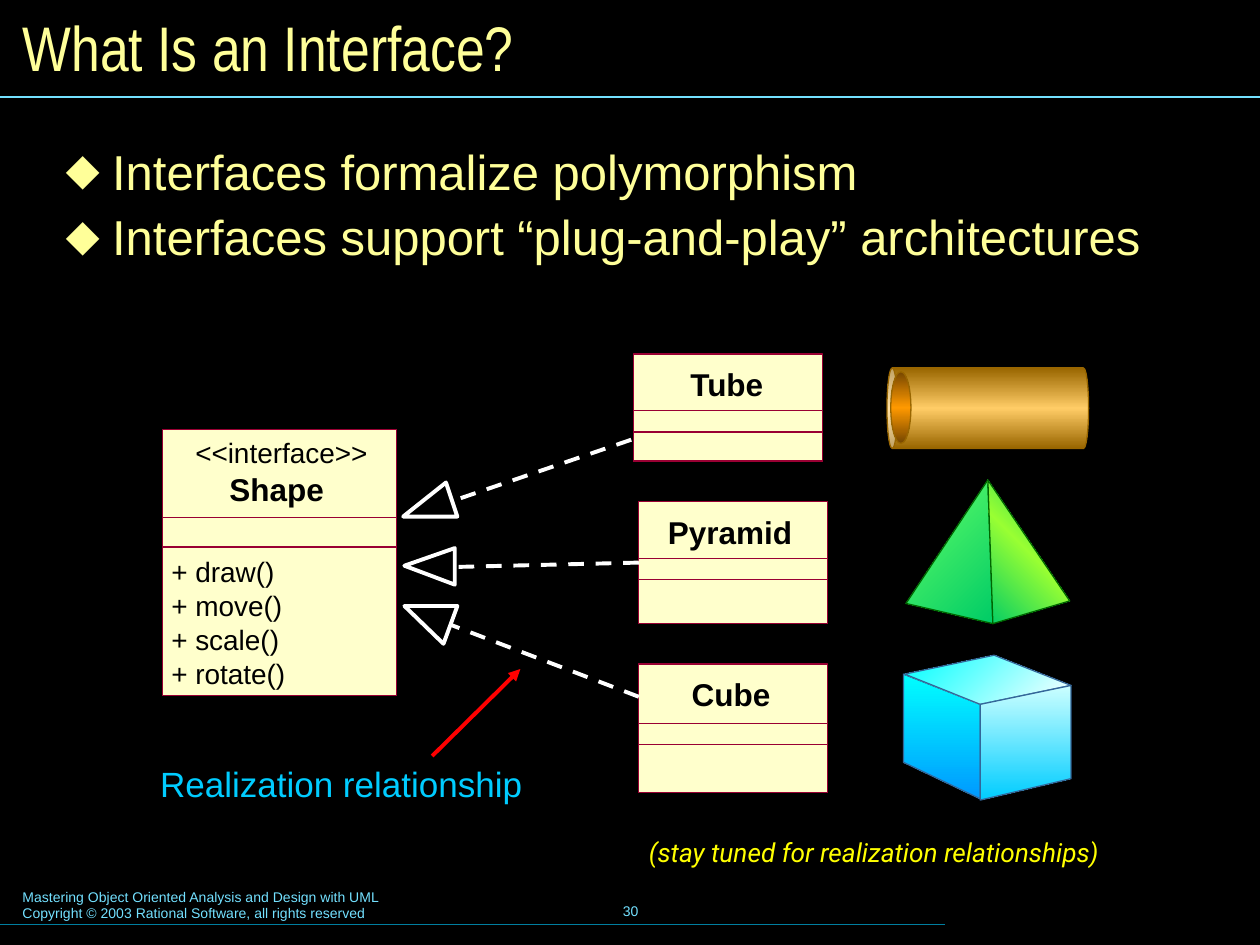
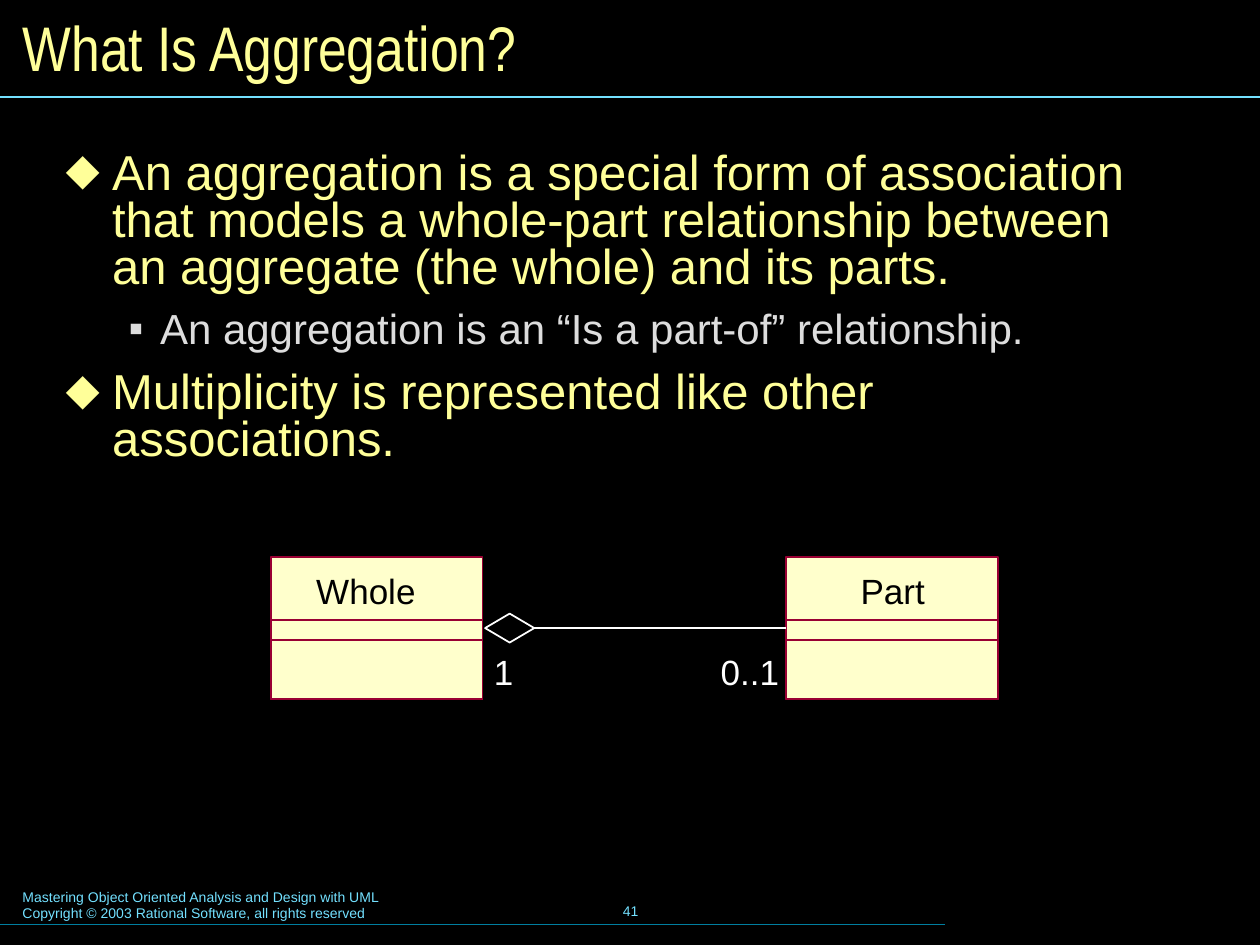
from dataclasses import dataclass

from lxml import etree
from pptx import Presentation
from pptx import util as u
from pptx.dml.color import RGBColor
from pptx.enum import dml, shapes, text
from pptx.oxml.ns import qn


@dataclass(frozen=True)
class Theme:
    black: str = "000000"
    white: str = "FFFFFF"
    title: str = "FFFF99"
    detail: str = "DDDDDD"
    footer: str = "73E1FF"
    footer_rule: str = "007E9F"
    box_fill: str = "FFFFCC"
    box_line: str = "990033"
    caption: str = "00CCFF"
    note: str = "FFFF00"
    pointer: str = "FF0000"
    font: str = "Arial"
    title_font: str = "Arial Narrow"
    note_font: str = "Roboto"
    title_size: int = 36
    body_size: int = 28
    detail_size: int = 24
    label_size: int = 20
    class_size: int = 18
    member_size: int = 16
    note_size: int = 15
    footer_size: int = 8


THEME = Theme()
CAPTION_INSETS = (0.12, 0.06)
FOOTER_INSETS = (0.1, 0.05)
FOOTER = [
    "Mastering Object Oriented Analysis and Design with UML",
    "Copyright © 2003 Rational Software, all rights reserved",
]
BULLETS = [
    dict(char="⬥", color=THEME.title, size=THEME.body_size, left=0.37, hang=0.37, spacing=0.8, before=10.5),
    dict(char="▪", color=THEME.detail, size=THEME.detail_size, left=0.75, hang=0.25, spacing=0.87, before=9),
]

INTERFACE = {
    "title": "What Is an Interface?",
    "number": "30",
    "points": [
        (0, "Interfaces formalize polymorphism"),
        (0, "Interfaces support “plug-and-play” architectures"),
    ],
}
AGGREGATION = {
    "title": "What Is Aggregation?",
    "number": "41",
    "points": [
        (0, "An aggregation is a special form of association that models a whole-part "
            "relationship between an aggregate (the whole) and its parts."),
        (1, "An aggregation is an “Is a part-of” relationship."),
        (0, "Multiplicity is represented like other associations."),
    ],
}

METHODS = ["+ draw()", "+ move()", "+ scale()", "+ rotate()"]
SHAPE_BOX = (1.29, 3.41, 1.86, 2.11)
SHAPE_DIVIDERS = (0.7, 0.93)
REALIZERS = [
    ("Tube", (5.03, 2.81, 1.5, 0.85), (0.45, 0.62), (5.48, 0.6)),
    ("Pyramid", (5.07, 3.98, 1.5, 0.97), (0.45, 0.62), (5.3, 0.99)),
    ("Cube", (5.07, 5.27, 1.5, 1.02), (0.47, 0.64), (5.49, 0.63)),
]
REALIZATIONS = [
    ("Tube", (5.01, 3.49), (3.58, 3.98), [(3.2, 4.1), (3.63, 4.1), (3.54, 3.83)]),
    ("Pyramid", (5.05, 4.49), (3.6, 4.5), [(3.21, 4.49), (3.61, 4.35), (3.61, 4.64)]),
    ("Cube", (5.07, 5.53), (3.58, 4.96), [(3.21, 4.81), (3.63, 4.81), (3.52, 5.11)]),
]

GREEN_EDGE, BROWN_EDGE, BLUE_EDGE = "006600", "996600", "336699"
SOLID_FACES = [
    ([(7.88, 4.95), (7.84, 3.81), (7.19, 4.79)], ["66FF66", "00CC66"], 45, GREEN_EDGE),
    ([(7.88, 4.95), (7.84, 3.81), (8.49, 4.77)], ["00CC66", "99FF33", "00CC66"], 315, GREEN_EDGE),
    ([(7.17, 5.35), (7.17, 6.05), (7.78, 6.34), (7.78, 5.59)], ["00FFFF", "0099FF"], 90, BLUE_EDGE),
    ([(7.18, 5.35), (7.89, 5.2), (8.5, 5.44), (7.78, 5.59)], ["FFFFFF", "00FFFF"], 225, BLUE_EDGE),
    ([(8.5, 5.44), (8.5, 6.18), (7.78, 6.35), (7.78, 5.59)], ["CCFFFF", "00CCFF"], 90, BLUE_EDGE),
]
TUBE_BODY = (7.52, 2.44, 0.64, 1.6)
TUBE_MOUTH = (7.07, 2.95, 0.16, 0.57)

PART_SIZE = (1.68, 1.13)
PART_TOP = 4.42
PART_DIVIDERS = (0.5, 0.66)
PARTS = [("Whole", 2.15, (2.51, 0.79)), ("Part", 6.24, (6.83, 0.51))]
MULTIPLICITIES = [("1", 3.92, 0.16), ("0..1", 5.72, 0.46)]
DIAMOND = (3.85, 4.87, 0.39, 0.23)


def inches(values):
    return [u.Inches(value) for value in values]


def rgb(color):
    return RGBColor.from_string(color)


def add_span(para, words, size, color, font=THEME.font, bold=False, italic=False):
    span = para.add_run()
    span.text = words
    span.font.size = u.Pt(size)
    span.font.name = font
    span.font.color.rgb = rgb(color)
    span.font.bold = bold
    span.font.italic = italic


def set_frame(frame, insets, wrap=True, anchor=text.MSO_ANCHOR.TOP):
    frame.margin_left = frame.margin_right = u.Inches(insets[0])
    frame.margin_top = frame.margin_bottom = u.Inches(insets[1])
    frame.word_wrap = wrap
    frame.auto_size = text.MSO_AUTO_SIZE.NONE
    frame.vertical_anchor = anchor


def add_paragraphs(frame, count):
    return [frame.paragraphs[0]] + [frame.add_paragraph() for _ in range(count - 1)]


def add_text(page, area, lines, size, color, insets=(0, 0), wrap=False,
             anchor=text.MSO_ANCHOR.TOP, align=text.PP_ALIGN.LEFT, **style):
    frame = page.shapes.add_textbox(*inches(area)).text_frame
    set_frame(frame, insets, wrap, anchor)
    for para, line in zip(add_paragraphs(frame, len(lines)), lines):
        para.alignment = align
        add_span(para, line, size, color, **style)


def add_bullet(para, bullet):
    props = para._p.get_or_add_pPr()
    props.set("marL", str(u.Inches(bullet["left"])))
    props.set("indent", str(-u.Inches(bullet["hang"])))
    tint = etree.SubElement(props, qn("a:buClr"))
    etree.SubElement(tint, qn("a:srgbClr"), val=bullet["color"])
    etree.SubElement(props, qn("a:buFont"), typeface=THEME.font)
    etree.SubElement(props, qn("a:buChar"), char=bullet["char"])


def add_points(page, points):
    frame = page.shapes.add_textbox(*inches((0.4, 1.15, 8.95, 3.1))).text_frame
    set_frame(frame, CAPTION_INSETS)
    for index, (para, (level, words)) in enumerate(zip(add_paragraphs(frame, len(points)), points)):
        bullet = BULLETS[level]
        para.level = level
        add_bullet(para, bullet)
        para.line_spacing = bullet["spacing"]
        para.space_before = u.Pt(bullet["before"] if index else 0)
        add_span(para, words, bullet["size"], bullet["color"])


def set_outline(shape, color, width):
    shape.line.color.rgb = rgb(color)
    shape.line.width = u.Pt(width)


def add_line(page, start, end, color, width, dashed=False, arrow=False):
    line = page.shapes.add_connector(shapes.MSO_CONNECTOR.STRAIGHT, *inches(start + end))
    set_outline(line, color, width)
    if dashed:
        line.line.dash_style = dml.MSO_LINE.DASH
    props = line._element.spPr
    if arrow:
        etree.SubElement(props.find(qn("a:ln")), qn("a:tailEnd"), type="triangle")
    etree.SubElement(props, qn("a:effectLst"))
    return line


def add_preset(page, kind, area, color, width):
    shape = page.shapes.add_shape(kind, *inches(area))
    shape.shadow.inherit = False
    shape.fill.background()
    set_outline(shape, color, width)
    return shape


def add_polygon(page, points, color, width):
    start, *rest = [tuple(inches(point)) for point in points]
    builder = page.shapes.build_freeform(*start)
    builder.add_line_segments(rest, close=True)
    shape = builder.convert_to_shape()
    shape.shadow.inherit = False
    shape.fill.background()
    set_outline(shape, color, width)
    return shape


def set_gradient(shape, colors, angle):
    shape.fill.gradient()
    gradient = shape._element.spPr.find(qn("a:gradFill"))
    gradient.set("rotWithShape", "0")
    stops = gradient.find(qn("a:gsLst"))
    for stop in list(stops):
        stops.remove(stop)
    for index, color in enumerate(colors):
        stop = etree.SubElement(stops, qn("a:gs"), pos=str(100000 * index // (len(colors) - 1)))
        etree.SubElement(stop, qn("a:srgbClr"), val=color)
    direction = gradient.find(qn("a:lin"))
    direction.set("ang", str(angle * 60000))
    direction.set("scaled", "0")


def add_class_box(page, area, dividers, line_width):
    left, top, width, height = area
    boxes = []
    for offset in (0, *dividers):
        box = add_preset(page, shapes.MSO_SHAPE.RECTANGLE,
                         (left, top + offset, width, height - offset), THEME.box_line, line_width)
        box.fill.solid()
        box.fill.fore_color.rgb = rgb(THEME.box_fill)
        boxes.append(box)
    return boxes[0]


def add_page(deck, content):
    page = deck.slides.add_slide(deck.slide_layouts[5])
    add_text(page, (0.08, 7, 5.1, 0.37), FOOTER, THEME.footer_size, THEME.footer, FOOTER_INSETS, wrap=True)
    add_text(page, (3.42, 6.98, 3.17, 0.5), [content["number"]], THEME.footer_size, THEME.footer,
             FOOTER_INSETS, wrap=True, anchor=text.MSO_ANCHOR.MIDDLE, align=text.PP_ALIGN.CENTER)
    add_line(page, (0, 7.34), (7.5, 7.34), THEME.footer_rule, 0.75)
    add_line(page, (0, 0.77), (10, 0.77), THEME.footer, 0.75)
    title = page.shapes.title
    title.left, title.top, title.width, title.height = inches((0.08, 0.08, 9.84, 0.58))
    set_frame(title.text_frame, FOOTER_INSETS, anchor=text.MSO_ANCHOR.MIDDLE)
    para = title.text_frame.paragraphs[0]
    para.alignment = text.PP_ALIGN.LEFT
    add_span(para, content["title"], THEME.title_size, THEME.title, THEME.title_font)
    add_points(page, content["points"])
    return page


def build_interface(deck):
    page = add_page(deck, INTERFACE)
    add_text(page, (1.15, 5.99, 3.42, 0.45), ["Realization relationship"],
             THEME.label_size, THEME.caption, CAPTION_INSETS, wrap=True)
    add_text(page, (5.03, 6.58, 3.92, 0.62), ["(stay tuned for realization relationships)"],
             THEME.note_size, THEME.note, CAPTION_INSETS, wrap=True, font=THEME.note_font, italic=True)

    for points, colors, angle, edge in SOLID_FACES:
        set_gradient(add_polygon(page, points, edge, 0.75), colors, angle)
    tube = add_preset(page, shapes.MSO_SHAPE.CAN, TUBE_BODY, BROWN_EDGE, 0.75)
    tube.adjustments[0] = 0.13
    tube.rotation = 270
    set_gradient(tube, ["996600", "FFCC66", "996600"], 90)
    mouth = add_preset(page, shapes.MSO_SHAPE.OVAL, TUBE_MOUTH, BROWN_EDGE, 0.75)
    set_gradient(mouth, ["754600", "FF9900", "754600"], 90)

    add_line(page, (3.43, 6), (4.13, 5.31), THEME.pointer, 2.25, arrow=True)
    add_class_box(page, SHAPE_BOX, SHAPE_DIVIDERS, 0)
    add_text(page, (1.55, 3.46, 1.37, 0.27), ["<<interface>>"], THEME.member_size, THEME.black)
    add_text(page, (1.82, 3.73, 0.75, 0.3), ["Shape"], THEME.class_size, THEME.black, bold=True)
    for index, method in enumerate(METHODS):
        add_text(page, (1.36, 4.4 + 0.27 * index, 1.5, 0.27), [method],
                 THEME.member_size, THEME.black, wrap=True)

    boxes = {}
    for name, area, dividers, (left, width) in REALIZERS:
        boxes[name] = add_class_box(page, area, dividers, 0)
        add_text(page, (left, area[1] + 0.09, width, 0.3), [name], THEME.class_size, THEME.black, bold=True)
    for name, start, end, head in REALIZATIONS:
        line = add_line(page, start, end, THEME.white, 2.25, dashed=True)
        if name == "Pyramid":
            line.begin_connect(boxes[name], 1)
        add_polygon(page, head, THEME.white, 2.25)


def build_aggregation(deck):
    page = add_page(deck, AGGREGATION)
    boxes = {}
    for name, left, (label_left, label_width) in PARTS:
        boxes[name] = add_class_box(page, (left, PART_TOP, *PART_SIZE), PART_DIVIDERS, 1)
        add_text(page, (label_left, 4.52, label_width, 0.33), [name], THEME.label_size, THEME.black)
    for words, left, width in MULTIPLICITIES:
        add_text(page, (left, 5.16, width, 0.33), [words], THEME.label_size, THEME.white)
    diamond = add_preset(page, shapes.MSO_SHAPE.DIAMOND, DIAMOND, THEME.white, 1)
    line = add_line(page, (6.24, 4.98), (4.24, 4.98), THEME.white, 1)
    line.begin_connect(boxes["Part"], 1)
    line.end_connect(diamond, 3)


def main():
    deck = Presentation()
    deck.slide_width, deck.slide_height = inches((10, 7.5))
    background = deck.slide_master.background.fill
    background.solid()
    background.fore_color.rgb = rgb(THEME.black)
    build_interface(deck)
    build_aggregation(deck)
    deck.save("out.pptx")


if __name__ == "__main__":
    main()
